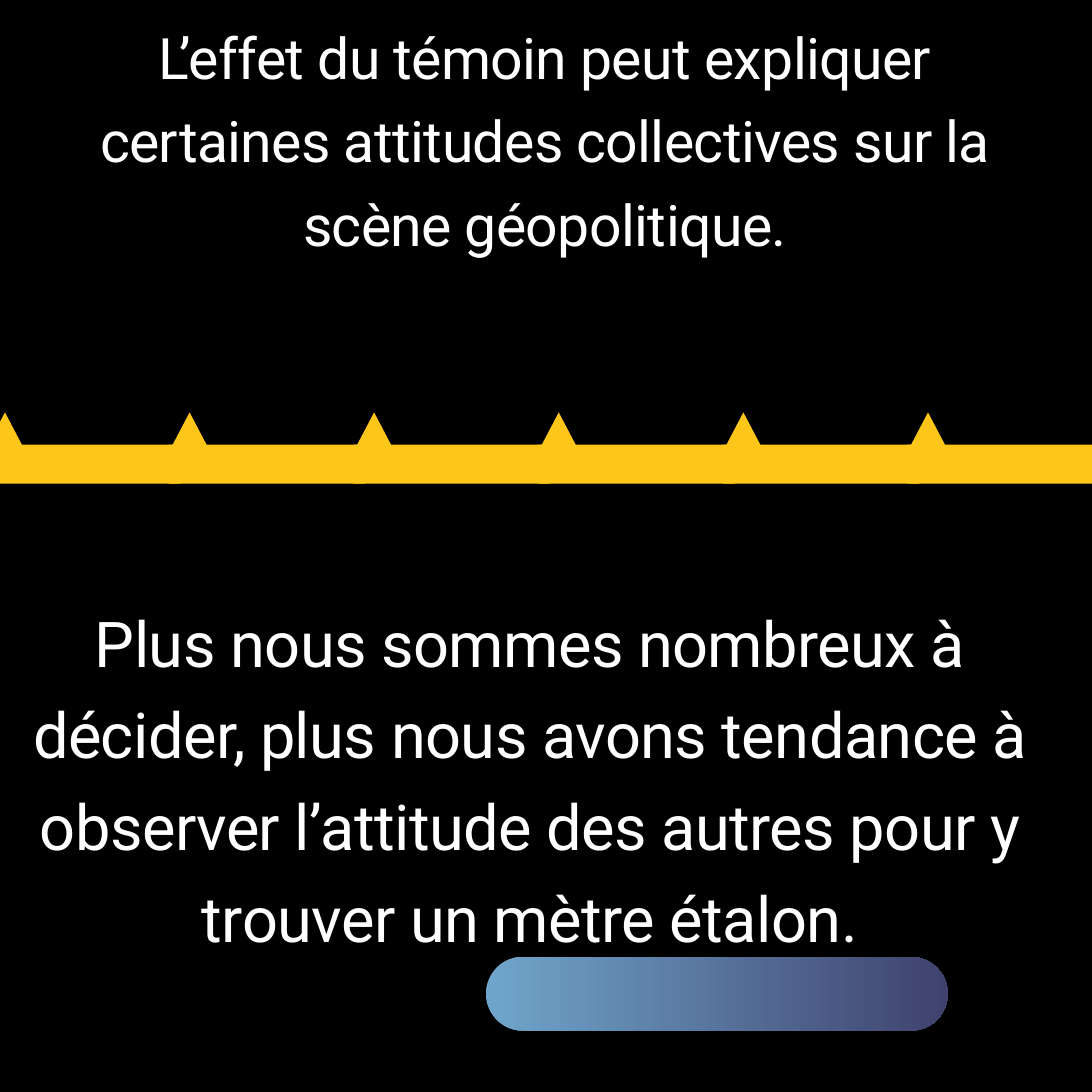
from pptx import Presentation
from pptx.dml.color import RGBColor
from pptx.enum.shapes import MSO_SHAPE
from pptx.enum.text import MSO_AUTO_SIZE, PP_ALIGN
from pptx.util import Pt

RECT = MSO_SHAPE.RECTANGLE
TRIANGLE = MSO_SHAPE.ISOSCELES_TRIANGLE
PILL = MSO_SHAPE.ROUNDED_RECTANGLE
CENTER = PP_ALIGN.CENTER
FIT_SHAPE = MSO_AUTO_SIZE.SHAPE_TO_FIT_TEXT

SIDE = 236.88
COLORS = {
    "background": "000000",
    "text": "FFFFFF",
    "band": "FFC61A",
    "pill_start": "70A5CB",
    "pill_end": "3F426D",
}
FRAME_FORMAT = {
    "word_wrap": True,
    "auto_size": FIT_SHAPE,
    "margin_left": 0,
    "margin_top": 0,
    "margin_right": 0,
    "margin_bottom": 0,
}
INTRO = ("L’effet du témoin peut expliquer certaines attitudes collectives "
         "sur la scène géopolitique.")
CONCLUSION = ("Plus nous sommes nombreux à décider, plus nous avons tendance à "
              "observer l’attitude des autres pour y trouver un mètre étalon.")


def rgb(name):
    return RGBColor.from_string(COLORS[name])


def set_format(obj, values):
    for name, value in values.items():
        setattr(obj, name, value)


def add_plain_shape(shapes, kind, box):
    """Add a preset shape without line or shadow."""
    sp = shapes.add_shape(kind, *map(Pt, box))
    sp.line.fill.background()
    sp.shadow.inherit = False
    return sp


def add_statement(slide, box, text, size, spacing):
    tf = slide.shapes.add_textbox(*map(Pt, box)).text_frame
    set_format(tf, FRAME_FORMAT)
    p = tf.paragraphs[0]
    set_format(p, {"alignment": CENTER, "line_spacing": Pt(spacing)})
    r = p.add_run()
    r.text = text
    set_format(r.font, {"name": "Roboto", "size": Pt(size)})
    r.font.color.rgb = rgb("text")
    r._r.get_or_add_rPr().set("spc", "-10")


def add_pill(slide, box):
    sp = add_plain_shape(slide.shapes, PILL, box)
    sp.adjustments[0] = 0.5
    sp.fill.gradient()
    sp.fill.gradient_angle = 0
    for stop, name in zip(sp.fill.gradient_stops, ("pill_start", "pill_end")):
        stop.color.rgb = rgb(name)


def add_spiked_band(slide, box, count, pitch):
    """Repeat a bar with a spike on top, each group one pitch further right."""
    left, top, width, height = box
    spike_w, spike_h, bar_h = 8.4, 8, 8.5
    for i in range(count):
        x = left + i * pitch
        group = slide.shapes.add_group_shape()
        parts = (
            (RECT, (x, top + height - bar_h, width, bar_h)),
            (TRIANGLE, (x + 0.3, top, spike_w, spike_h)),
        )
        for kind, part_box in parts:
            sp = add_plain_shape(group.shapes, kind, part_box)
            sp.fill.solid()
            sp.fill.fore_color.rgb = rgb("band")


def build_slide(prs):
    slide = prs.slides.add_slide(prs.slide_layouts[6])
    fill = slide.background.fill
    fill.solid()
    fill.fore_color.rgb = rgb("background")
    add_statement(slide, (8.8, 1.6, 219, 54), INTRO, 12.4, 18.1)
    add_pill(slide, (105.4, 207.6, 100.2, 16))
    add_statement(slide, (5.5, 127.6, 219, 98.6), CONCLUSION, 13.7, 19.9)
    add_spiked_band(slide, (-3.4, 89.5, 42.6, 15.5), count=6, pitch=40.05)


def main():
    prs = Presentation()
    prs.slide_width = prs.slide_height = Pt(SIDE)
    build_slide(prs)
    prs.save("out.pptx")


if __name__ == "__main__":
    main()
